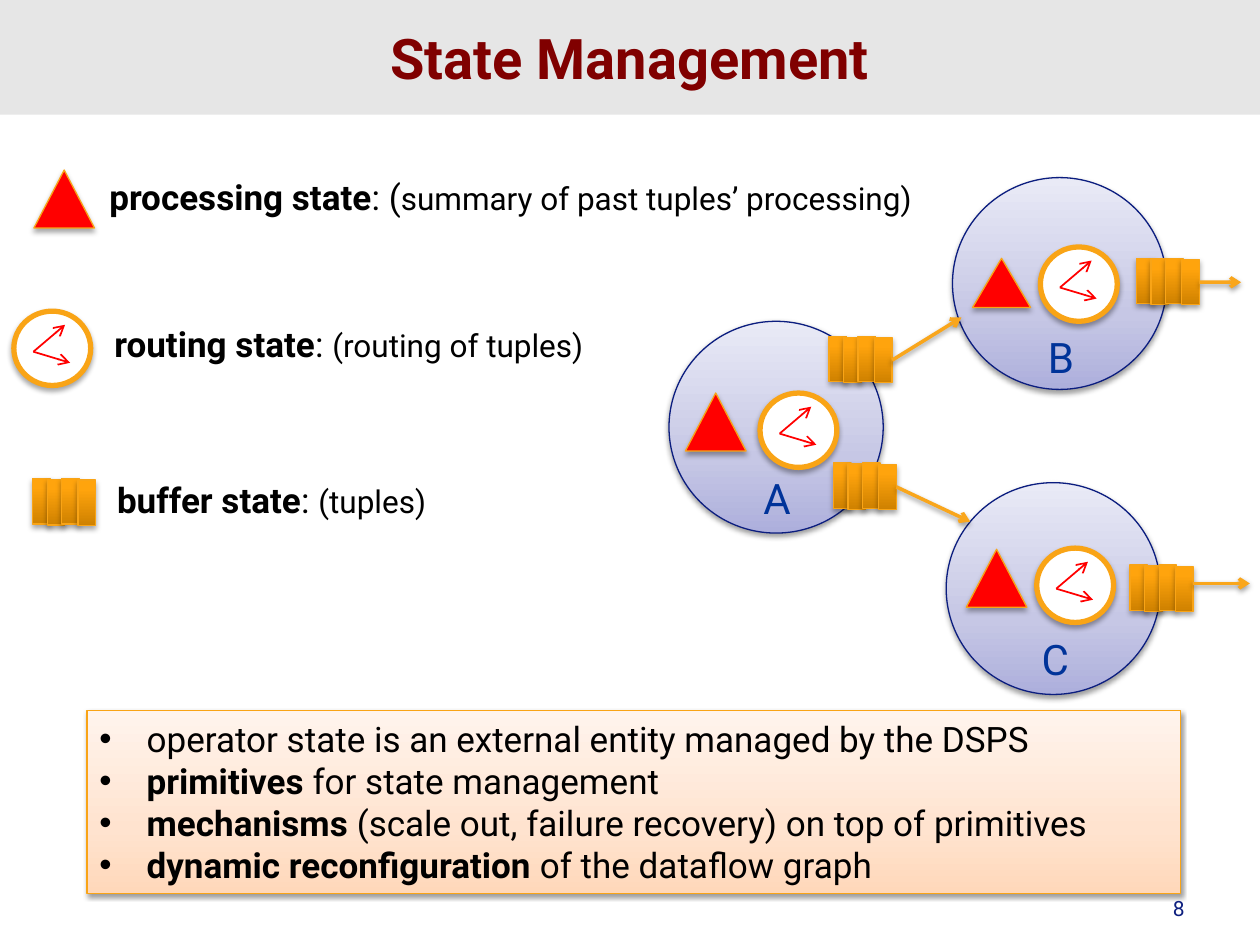
from dataclasses import dataclass

import pptx
import pptx.dml.color
import pptx.enum.shapes
import pptx.enum.text
import pptx.oxml
import pptx.oxml.ns
import pptx.util
from lxml import etree

Pt = pptx.util.Pt
MSO_SHAPE = pptx.enum.shapes.MSO_SHAPE
ALIGN = pptx.enum.text.PP_ALIGN
ANCHOR = pptx.enum.text.MSO_ANCHOR
qn = pptx.oxml.ns.qn

FONT = "Roboto"
ORANGE, RED, BLACK = "F9A416", "FF0000", "000000"
ORANGE_STOPS = [(0, "CF8100"), (80, "FFA40D"), (100, "FFA50F")]
BLUE_STOPS = [(0, "ADAFDC"), (35, "C6C7E5"), (100, "E9EAF6")]
PEACH_STOPS = [(0, "FFD8BA"), (35, "FFE3CF"), (100, "FFF4ED")]

DISC_SIZE = (122.4, 121)
DIAL_SIZE = (43.9, 42.5)
TRIANGLE_SIZE = (34.6, 33.1)
BAR_SIZE = (10.1, 25.9)
BAR_OFFSETS = [(0, 0), (8.3, 0.5), (16.6, 0), (25.9, 0.7)]
HAND_PIVOT = (11.2, 23.2)
HAND_TIPS = [(29.3, 7.8), (32.2, 29.5)]


@dataclass
class Shadow:
    opacity: int
    distance: float
    blur: float = 3.1


SOFT, FIRM = Shadow(38, 1.6), Shadow(35, 1.8)


@dataclass
class Operator:
    name: str
    disc: tuple
    triangle: tuple
    dial: tuple
    label: tuple
    buffers: list
    triangle_size: tuple = TRIANGLE_SIZE


@dataclass
class Flow:
    start: tuple
    end: tuple
    source: tuple = None  # operator name and buffer number to join


OPERATORS = [
    Operator("A", (382.3, 183.6), (391.7, 224.6), (434.3, 224.6), (429.1, 266.4),
             [(473.8, 192.2), (476.3, 264.6)]),
    Operator("B", (544.3, 101.5), (555.8, 147.6), (594.5, 141.1), (591.8, 185.8),
             [(649.4, 147.6)], (33.1, 28.1)),
    Operator("C", (540.7, 275.8), (552.2, 313.9), (592.4, 313.2), (588.2, 358.6),
             [(645.8, 322.9)]),
]
FLOWS = [
    Flow((509.8, 205.9), (549.4, 181.4), ("A", 0)),
    Flow((511.9, 277.9), (554.4, 298.1), ("A", 1)),
    Flow((684.7, 161.3), (709.2, 161.3), ("B", 0)),
    Flow((681.8, 333.4), (714.2, 333.4)),
]
POINTS = [
    [("operator state is an external entity managed by the DSPS", False)],
    [("primitives", True), (" for state management", False)],
    [("mechanisms", True), (" (scale out, failure recovery) on top of primitives", False)],
    [("dynamic reconfiguration ", True), ("of the dataflow graph", False)],
]


def rgb(value: str):
    return pptx.dml.color.RGBColor.from_string(value)


def add_effects(item, shadow: Shadow = None) -> None:
    """Give the item its own effect list, holding a downward shadow if any."""
    properties = item._element.spPr
    effects = properties.find(qn("a:effectLst"))
    if effects is None:
        effects = etree.SubElement(properties, qn("a:effectLst"))
    if shadow:
        outer = etree.SubElement(
            effects, qn("a:outerShdw"), blurRad=str(Pt(shadow.blur)),
            dist=str(Pt(shadow.distance)), dir="5400000", rotWithShape="0")
        black = etree.SubElement(outer, qn("a:srgbClr"), val=BLACK)
        etree.SubElement(black, qn("a:alpha"), val=str(shadow.opacity * 1000))


def fill_gradient(shape, stops: list) -> None:
    shape.fill.gradient()
    shape.fill.gradient_angle = 90
    stop_list = shape._element.spPr.find(qn("a:gradFill")).find(qn("a:gsLst"))
    for stop in list(stop_list):
        stop_list.remove(stop)
    for position, color in stops:
        stop = etree.SubElement(stop_list, qn("a:gs"), pos=str(position * 1000))
        etree.SubElement(stop, qn("a:srgbClr"), val=color)


def add_figure(slide, kind, at: tuple, size: tuple, fill, line: str = ORANGE,
               width: float = 0.75, shadow: Shadow = FIRM):
    shape = slide.shapes.add_shape(kind, *map(Pt, at + size))
    if isinstance(fill, str):
        shape.fill.solid()
        shape.fill.fore_color.rgb = rgb(fill)
    else:
        fill_gradient(shape, fill)
    shape.line.color.rgb = rgb(line)
    shape.line.width = Pt(width)
    shape.shadow.inherit = False
    add_effects(shape, shadow)
    return shape


def add_arrow(slide, start: tuple, end: tuple, color: str, width: float,
              shadow: Shadow = None):
    arrow = slide.shapes.add_connector(
        pptx.enum.shapes.MSO_CONNECTOR.STRAIGHT, *map(Pt, start + end))
    arrow.line.color.rgb = rgb(color)
    arrow.line.width = Pt(width)
    etree.SubElement(arrow.line._ln, qn("a:tailEnd"), type="arrow")
    add_effects(arrow, shadow)
    return arrow


def add_triangle(slide, at: tuple, size: tuple = TRIANGLE_SIZE) -> None:
    add_figure(slide, MSO_SHAPE.ISOSCELES_TRIANGLE, at, size, RED)


def add_dial(slide, at: tuple) -> None:
    def place(offset):
        return at[0] + offset[0], at[1] + offset[1]

    add_figure(slide, MSO_SHAPE.OVAL, at, DIAL_SIZE, "FFFFFF", width=3)
    for tip in HAND_TIPS:
        add_arrow(slide, place(HAND_PIVOT), place(tip), RED, 1)


def add_buffer(slide, at: tuple):
    """Draw the row of tuples and return its last bar."""
    for dx, dy in BAR_OFFSETS:
        bar = add_figure(slide, MSO_SHAPE.RECTANGLE, (at[0] + dx, at[1] + dy),
                         BAR_SIZE, ORANGE_STOPS)
    return bar


def add_text(slide, at: tuple, size: tuple, runs: list, color: str = BLACK,
             align=ALIGN.LEFT) -> None:
    """Write one paragraph; each run is (text, size, bold)."""
    frame = slide.shapes.add_textbox(*map(Pt, at + size)).text_frame
    frame.word_wrap = True
    paragraph = frame.paragraphs[0]
    paragraph.alignment = align
    paragraph.font.name = FONT
    paragraph.font.color.rgb = rgb(color)
    for text, points, bold in runs:
        run = paragraph.add_run()
        run.text = text
        run.font.size = Pt(points)
        run.font.bold = bold
        run.font.name = FONT
        run.font.color.rgb = rgb(color)


def add_title(slide, text: str) -> None:
    title = slide.shapes.title
    title.left, title.top, title.width, title.height = map(Pt, (0, 0, 720, 65.5))
    title.fill.solid()
    title.fill.fore_color.rgb = rgb("E6E6E6")
    title.text_frame.text = text
    title.text_frame.vertical_anchor = ANCHOR.MIDDLE
    heading = title.text_frame.paragraphs[0]
    heading.alignment = ALIGN.CENTER
    heading.font.name, heading.font.size, heading.font.bold = FONT, Pt(32), True
    heading.font.color.rgb = rgb("800000")


def add_summary(slide) -> None:
    panel = add_figure(slide, MSO_SHAPE.RECTANGLE, (49.7, 406), (625, 104.4),
                       PEACH_STOPS, shadow=SOFT)
    frame = panel.text_frame
    frame.vertical_anchor = ANCHOR.MIDDLE
    for index, runs in enumerate(POINTS):
        point = frame.add_paragraph() if index else frame.paragraphs[0]
        point.alignment = ALIGN.LEFT
        point.font.name, point.font.size = FONT, Pt(20)
        point.font.color.rgb = rgb(BLACK)
        properties = point._p.get_or_add_pPr()
        properties.set("marL", str(Pt(27)))
        properties.set("indent", str(Pt(-27)))
        bullet_font = pptx.oxml.parse_xml(
            f'<a:buFont {pptx.oxml.ns.nsdecls("a")} typeface="Arial"/>')
        properties.insert(0, bullet_font)
        bullet_font.addnext(properties.makeelement(qn("a:buChar"), {"char": "•"}))
        for text, bold in runs:
            run = point.add_run()
            run.text = text
            run.font.bold = bold
            run.font.name, run.font.size = FONT, Pt(20)
            run.font.color.rgb = rgb(BLACK)


def main() -> None:
    deck = pptx.Presentation()
    deck.slide_width, deck.slide_height = Pt(720), Pt(540)
    slide = deck.slides.add_slide(deck.slide_layouts[5])
    add_title(slide, "State Management")

    # Legend of the three kinds of state
    add_triangle(slide, (19.4, 97.2))
    add_text(slide, (55.4, 96.5), (497.5, 31.7),
             [("processing state", 20, True), (": (", 20, False),
              ("summary of past tuples’ processing)", 18, False)])
    add_dial(slide, (7.9, 177.8))
    add_text(slide, (58.3, 180.7), (305.3, 31.7),
             [("routing state", 20, True), (": ", 20, False),
              ("(routing of tuples)", 18, False)])
    add_buffer(slide, (18.7, 273.6))
    add_text(slide, (59.8, 270), (208.8, 31.7),
             [("buffer state", 20, True), (": ", 20, False), ("(tuples)", 18, False)])

    # Operators with their state
    last_bars = {}
    for operator in OPERATORS:
        add_figure(slide, MSO_SHAPE.OVAL, operator.disc, DISC_SIZE, BLUE_STOPS,
                   line="0B1D7F", shadow=SOFT)
        for number, at in enumerate(operator.buffers):
            last_bars[operator.name, number] = add_buffer(slide, at)
        add_triangle(slide, operator.triangle, operator.triangle_size)
        add_dial(slide, operator.dial)
        add_text(slide, operator.label, (28.8, 36), [(operator.name, 24, False)], "003399")

    # Tuple flows out of the buffers
    for flow in FLOWS:
        arrow = add_arrow(slide, flow.start, flow.end, "F9A61C", 2, SOFT)
        if flow.source:
            arrow.begin_connect(last_bars[flow.source], 3)

    # Summary and page number
    add_summary(slide)
    add_text(slide, (534.2, 508.3), (149.8, 20.2), [("8", 12, False)], "0E207F", ALIGN.RIGHT)
    deck.save("out.pptx")


if __name__ == "__main__":
    main()
